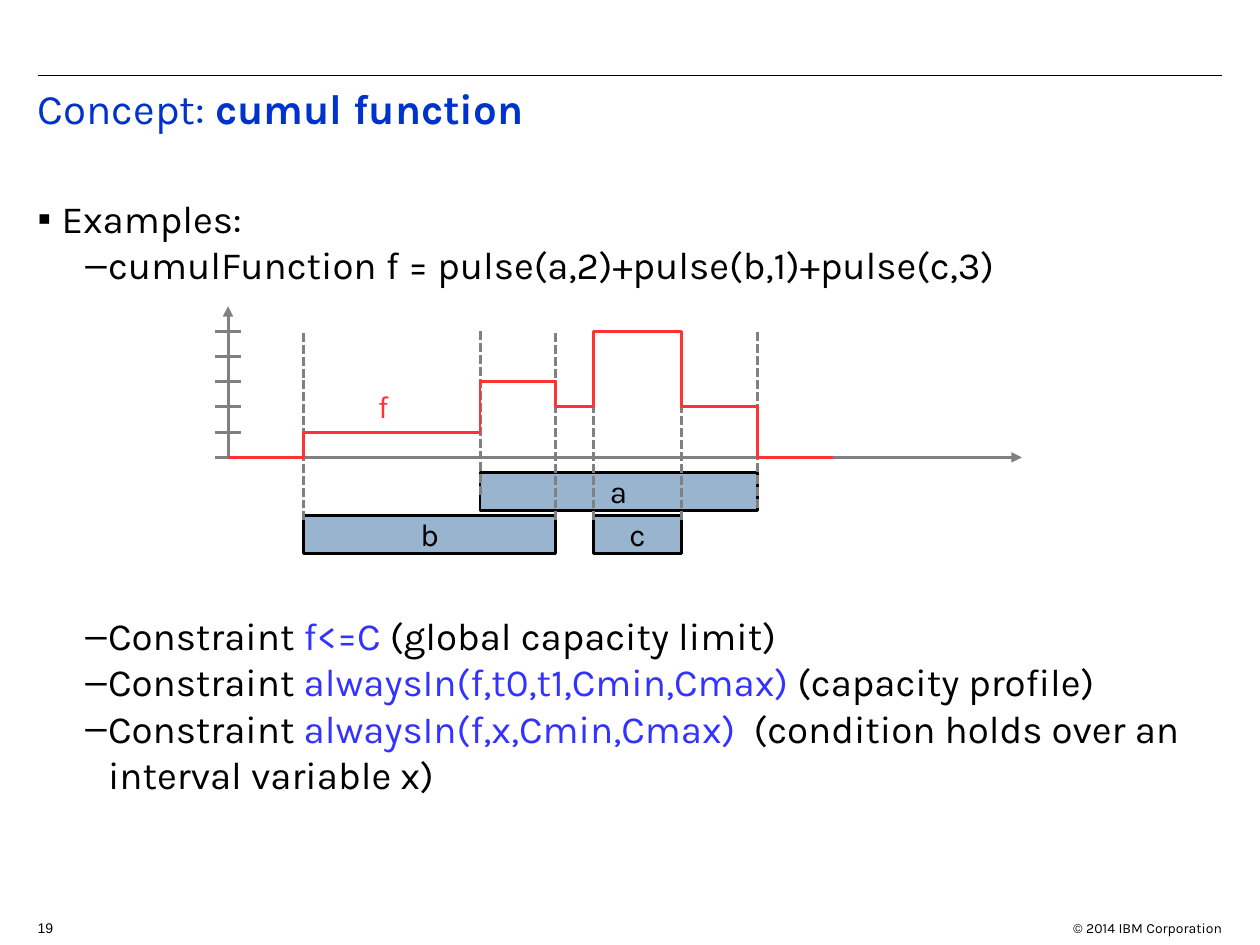
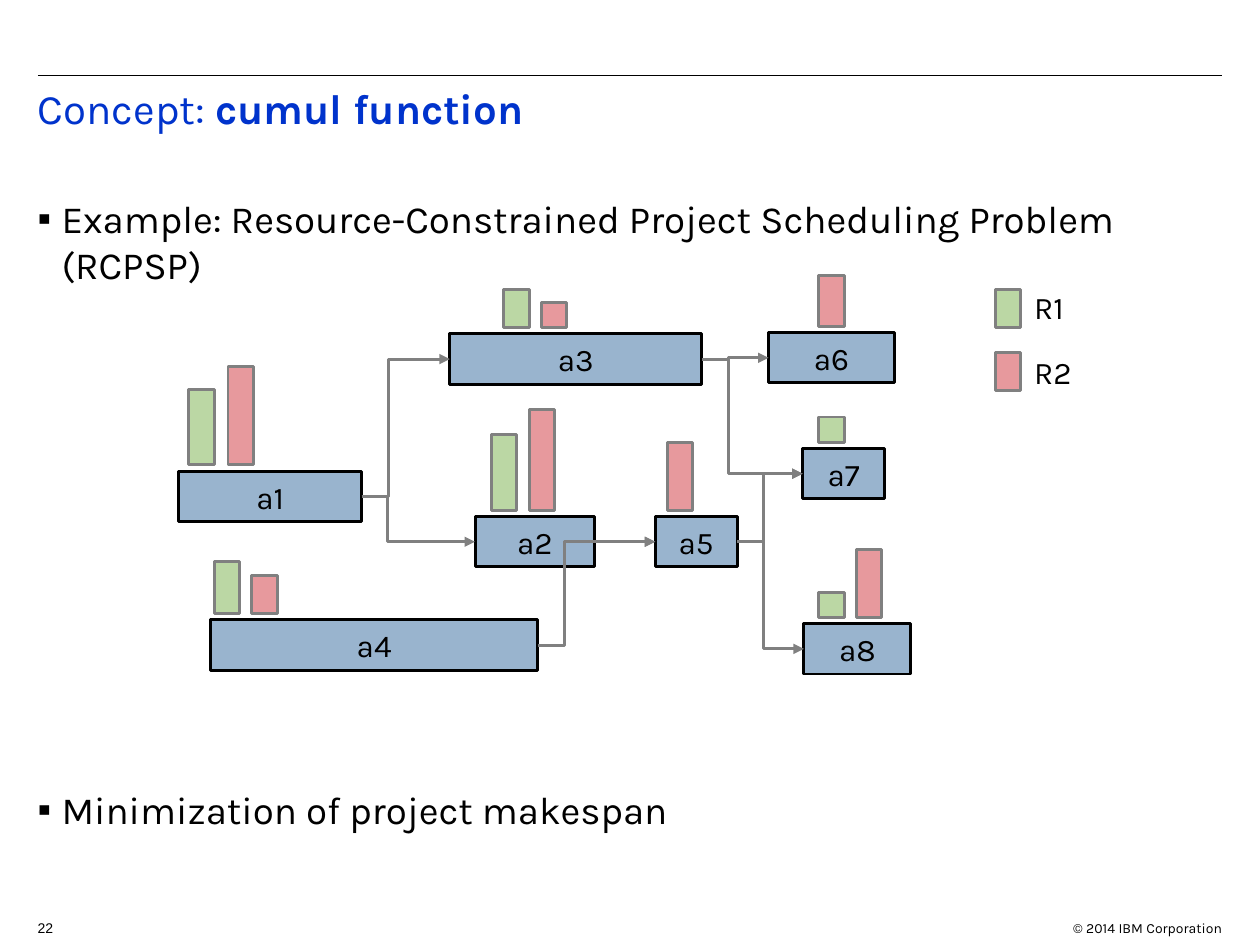
"""Builds two slides on the cumul function concept of interval scheduling."""
from dataclasses import dataclass

from lxml.etree import SubElement
from pptx import Presentation
from pptx.dml.color import RGBColor
from pptx.enum.dml import MSO_LINE
from pptx.enum.shapes import MSO_CONNECTOR, MSO_SHAPE
from pptx.enum.text import MSO_ANCHOR, MSO_AUTO_SIZE, PP_ALIGN
from pptx.oxml.ns import qn
from pptx.util import Inches, Pt


@dataclass(frozen=True)
class Theme:
    font: str = "Karla"
    number_font: str = "Arial"
    black: str = "000000"
    title: str = "0033CC"
    code: str = "3333FF"
    interval: str = "004586"
    grey: str = "808080"
    profile: str = "FF3333"
    green: str = "579D1C"
    red: str = "C5000B"
    title_size: float = 24
    body_size: float = 22
    label_size: float = 18
    footer_size: float = 8
    rule_width: float = 0.75
    line_width: float = 1.7
    fill_opacity: int = 40


BULLETS = {"▪": (0.19, -0.19), "–": (0.56, -0.18)}
RIGHT, LEFT = 3, 1


class SlideBuilder:
    def __init__(self, deck, theme):
        self.deck = deck
        self.theme = theme
        self.page = None

    def start_page(self, number):
        theme = self.theme
        self.page = self.deck.slides.add_slide(self.deck.slide_layouts[5])
        self.line((0.3, 0.6), (9.7, 0.6), theme.black, theme.rule_width)
        self.text((8.3, 7.25, 1.5, 0.2), "© 2014 IBM Corporation",
                  size=theme.footer_size, align=PP_ALIGN.RIGHT)
        self.text((0.2, 7.25, 0.4, 0.23), number,
                  size=theme.footer_size, font=theme.number_font)
        self.title()

    def title(self):
        box = self.page.shapes.title
        box.left, box.top, box.width, box.height = map(Inches, (0.2, 0.65, 9.8, 0.7))
        frame = box.text_frame
        frame.vertical_anchor = MSO_ANCHOR.TOP
        frame.auto_size = MSO_AUTO_SIZE.NONE
        para = frame.paragraphs[0]
        para.alignment = PP_ALIGN.LEFT
        para.line_spacing = 0.9
        for words, bold in (("Concept: ", False), ("cumul function", True)):
            self.span(para, words, self.theme.title_size, self.theme.title, bold=bold)

    def span(self, para, words, size, color=None, font=None, bold=False):
        span = para.add_run()
        span.text = words
        span.font.name = font or self.theme.font
        span.font.size = Pt(size)
        span.font.bold = bold
        span.font.color.rgb = RGBColor.from_string(color or self.theme.black)

    def text(self, place, words, size=None, color=None, font=None,
             align=PP_ALIGN.LEFT, wrap=True):
        frame = self.page.shapes.add_textbox(*map(Inches, place)).text_frame
        frame.word_wrap = wrap
        para = frame.paragraphs[0]
        para.alignment = align
        self.span(para, words, size or self.theme.label_size, color, font)

    def bullets(self, place, items):
        frame = self.page.shapes.add_textbox(*map(Inches, place)).text_frame
        frame.word_wrap = True
        for index, (mark, spans) in enumerate(items):
            para = frame.add_paragraph() if index else frame.paragraphs[0]
            self.bullet(para, mark)
            for words, color in spans:
                self.span(para, words, self.theme.body_size, color)

    def bullet(self, para, mark):
        margin, indent = BULLETS[mark]
        properties = para._p.get_or_add_pPr()
        properties.set("marL", str(Inches(margin)))
        properties.set("indent", str(Inches(indent)))
        color = SubElement(properties, qn("a:buClr"))
        SubElement(color, qn("a:srgbClr"), val=self.theme.black)
        SubElement(properties, qn("a:buFont"), typeface=self.theme.number_font)
        SubElement(properties, qn("a:buChar"), char=mark)

    def stroke(self, line, color, width=None):
        line.color.rgb = RGBColor.from_string(color)
        line.width = Pt(width or self.theme.line_width)

    def rectangle(self, place, fill, outline, label=""):
        box = self.page.shapes.add_shape(MSO_SHAPE.RECTANGLE, *map(Inches, place))
        box.shadow.inherit = False
        box.fill.solid()
        box.fill.fore_color.rgb = RGBColor.from_string(fill)
        color = box._element.spPr.find(qn("a:solidFill"))[0]
        SubElement(color, qn("a:alpha"), val=str(self.theme.fill_opacity * 1000))
        self.stroke(box.line, outline)
        if label:
            box.text_frame.vertical_anchor = MSO_ANCHOR.MIDDLE
            para = box.text_frame.paragraphs[0]
            para.alignment = PP_ALIGN.CENTER
            self.span(para, label, self.theme.label_size)
        return box

    def interval(self, place, label):
        return self.rectangle(place, self.theme.interval, self.theme.black, label)

    def resource_bar(self, left, bottom, height, color):
        self.rectangle((left, bottom - height, 0.2, height), color, self.theme.grey)

    def finish_connector(self, connector, color, width=None, dashed=False, arrow=False):
        self.stroke(connector.line, color, width)
        if dashed:
            connector.line.dash_style = MSO_LINE.SQUARE_DOT
        if arrow:
            SubElement(connector.line._get_or_add_ln(), qn("a:tailEnd"), type="triangle")
        SubElement(connector._element.spPr, qn("a:effectLst"))

    def line(self, start, end, color=None, width=None, dashed=False, arrow=False):
        connector = self.page.shapes.add_connector(
            MSO_CONNECTOR.STRAIGHT, *map(Inches, start + end))
        self.finish_connector(connector, color or self.theme.grey, width, dashed, arrow)

    def precedence(self, before, after, stub=0.21):
        start = before.left + before.width, before.top + before.height // 2
        end = after.left, after.top + after.height // 2
        straight = start[1] == end[1]
        kind = MSO_CONNECTOR.STRAIGHT if straight else MSO_CONNECTOR.ELBOW
        connector = self.page.shapes.add_connector(kind, *start, *end)
        connector.begin_connect(before, RIGHT)
        connector.end_connect(after, LEFT)
        if not straight:
            ratio = round(Inches(stub) / (end[0] - start[0]) * 100000)
            guides = connector._element.spPr.find(qn("a:prstGeom")).get_or_add_avLst()
            SubElement(guides, qn("a:gd"), name="adj1", fmla=f"val {ratio}")
        self.finish_connector(connector, self.theme.grey, arrow=True)

    def step_curve(self, points, color):
        corners = [tuple(map(Inches, point)) for point in points]
        builder = self.page.shapes.build_freeform(*corners[0])
        builder.add_line_segments(corners[1:], close=False)
        curve = builder.convert_to_shape()
        curve.shadow.inherit = False
        curve.fill.background()
        self.stroke(curve.line, color)


def build_pulse_page(slide):
    theme = slide.theme
    slide.start_page("19")
    slide.bullets((0.2, 1.5, 9.5, 0.9), [
        ("▪", [("Examples:", None)]),
        ("–", [("cumulFunction f = pulse(a,2)+pulse(b,1)+pulse(c,3)", None)]),
    ])
    slide.bullets((0.2, 4.81, 9.5, 1.6), [
        ("–", [("Constraint ", None), ("f<=C", theme.code),
               (" (global capacity limit)", None)]),
        ("–", [("Constraint ", None), ("alwaysIn(f,t0,t1,Cmin,Cmax) ", theme.code),
               ("(capacity profile)", None)]),
        ("–", [("Constraint ", None), ("alwaysIn(f,x,Cmin,Cmax)", theme.code),
               ("  (condition holds over an interval variable x)", None)]),
    ])

    origin, base, unit, peak = 1.81, 3.63, 0.2, 5
    pulses = [
        ("a", 3.81, 2.2, 3.75, 2, (3.93, 4.03)),
        ("b", 2.41, 2, 4.09, 1, (4.13, 4.13)),
        ("c", 4.71, 0.7, 4.09, 3, (4.13, 4.13)),
    ]
    events = []
    for name, start, length, top, height, (start_foot, end_foot) in pulses:
        slide.interval((start, top, length, 0.3), name)
        events += [(start, height, start_foot), (start + length, -height, end_foot)]
    events.sort()

    slide.line((origin, base), (origin, 2.43), arrow=True)
    for level in range(peak + 1):
        tick = base - level * unit
        slide.line((origin - 0.1, tick), (origin + 0.1, tick))

    points, level = [(origin, base)], 0
    for moment, change, foot in events:
        slide.line((moment, foot), (moment, base - peak * unit), dashed=True)
        points.append((moment, base - level * unit))
        level += change
        points.append((moment, base - level * unit))
    points.append((6.61, base))
    slide.line((origin + 0.1, base), (8.11, base), arrow=True)
    slide.step_curve(points, theme.profile)
    slide.text((2.9, 3.02, 0.28, 0.4), "f", color=theme.profile, wrap=False)


def build_project_page(slide):
    theme = slide.theme
    slide.start_page("22")
    for top, height, words in (
        (1.5, 0.9, "Example: Resource-Constrained Project Scheduling Problem (RCPSP)"),
        (6.19, 0.5, "Minimization of project makespan"),
    ):
        slide.bullets((0.2, top, 9.3, height), [("▪", [(words, None)])])

    green, red = theme.green, theme.red
    activities = {
        "a1": (1.42, 3.74, 1.45, [(1.5, 0.6, green), (1.81, 0.78, red)]),
        "a2": (3.77, 4.1, 0.95, [(3.9, 0.6, green), (4.2, 0.8, red)]),
        "a3": (3.57, 2.65, 2, [(4, 0.3, green), (4.3, 0.2, red)]),
        "a4": (1.67, 4.92, 2.6, [(1.7, 0.41, green), (2, 0.3, red)]),
        "a5": (5.2, 4.1, 0.65, [(5.3, 0.54, red)]),
        "a6": (6.1, 2.64, 1, [(6.5, 0.4, red)]),
        "a7": (6.37, 3.56, 0.65, [(6.5, 0.2, green)]),
        "a8": (6.38, 4.95, 0.85, [(6.5, 0.2, green), (6.8, 0.54, red)]),
    }
    boxes = {}
    for name, (left, top, width, demands) in activities.items():
        boxes[name] = slide.interval((left, top, width, 0.4), name)
        for bar_left, height, color in demands:
            slide.resource_bar(bar_left, top - 0.05, height, color)

    for before, after in (("a1", "a3"), ("a1", "a2"), ("a3", "a6"), ("a4", "a5"),
                          ("a2", "a5"), ("a5", "a8"), ("a5", "a7"), ("a3", "a7")):
        slide.precedence(boxes[before], boxes[after])

    for row, (name, color) in enumerate((("R1", green), ("R2", red))):
        slide.resource_bar(7.9, 2.6 + row * 0.5, 0.3, color)
        slide.text((8.11, 2.24 + row * 0.51, 0.52, 0.4), name, wrap=False)


def main():
    deck = Presentation()
    deck.slide_width, deck.slide_height = Inches(10), Inches(7.5)
    slide = SlideBuilder(deck, Theme())
    build_pulse_page(slide)
    build_project_page(slide)
    deck.save("out.pptx")


if __name__ == "__main__":
    main()
